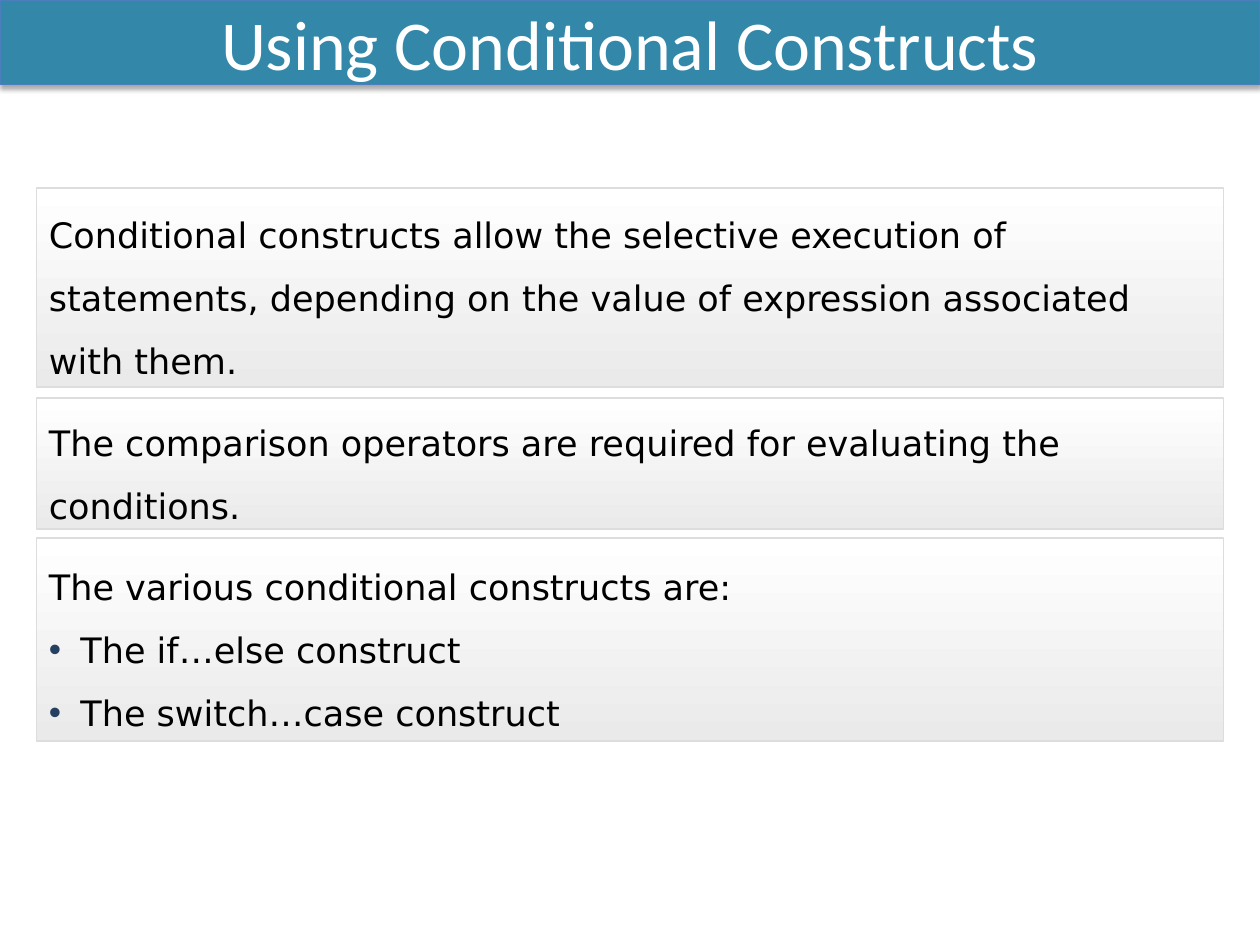
from dataclasses import dataclass

from lxml import etree
from pptx import Presentation
from pptx import util as u
from pptx.dml.color import RGBColor
from pptx.enum import shapes, text
from pptx.oxml import ns


@dataclass(frozen=True)
class Theme:
    banner: str = "3388A9"
    banner_line: str = "4B7EBC"
    title_color: str = "FFFFFF"
    panel_top: str = "FFFFFF"
    panel_bottom: str = "EAEAEA"
    panel_line: str = "DDDDDD"
    body_color: str = "000000"
    bullet_color: str = "254061"
    shadow_color: str = "000000"
    title_font: str = "Calibri"
    body_font: str = "DejaVu Sans"
    title_size: int = 40
    body_size: int = 20


@dataclass(frozen=True)
class Panel:
    top: float
    height: float
    lead: str
    bullets: tuple[str, ...] = ()


THEME = Theme()
PAGE_WIDTH, PAGE_HEIGHT = 10, 7.5
MARGIN = 0.29
BULLET_INDENT = 0.25

PANELS = (
    Panel(1.49, 1.58, "Conditional constructs allow the selective execution of "
                      "statements, depending on the value of expression associated with them."),
    Panel(3.16, 1.04, "The comparison operators are required for evaluating the conditions."),
    Panel(4.27, 1.61, "The various conditional constructs are:",
          ("The if…else construct", "The switch…case construct")),
)


def color(value: str) -> RGBColor:
    return RGBColor.from_string(value)


def add_box(page, left: float, top: float, width: float, height: float,
            line_color: str, line_width: float):
    """Add an outlined rectangle without a shadow."""
    box = page.shapes.add_shape(
        shapes.MSO_SHAPE.RECTANGLE,
        *(u.Inches(length) for length in (left, top, width, height)))
    box.shadow.inherit = False
    box.line.color.rgb = color(line_color)
    box.line.width = u.Pt(line_width)
    box.text_frame.word_wrap = True
    box.text_frame.vertical_anchor = text.MSO_ANCHOR.MIDDLE
    return box


def write(para, words: str, name: str, size: int, font_color: str) -> None:
    span = para.add_run()
    span.text = words
    for key, value in {"name": name, "size": u.Pt(size)}.items():
        setattr(span.font, key, value)
    span.font.color.rgb = color(font_color)


def add_shadow(box, blur: float, distance: float, angle: int, opacity: int) -> None:
    effects = box._element.spPr.find(ns.qn("a:effectLst"))
    shadow = etree.SubElement(
        effects, ns.qn("a:outerShdw"), blurRad=str(u.Pt(blur)),
        dist=str(u.Pt(distance)), dir=str(angle * 60000), rotWithShape="0")
    tint = etree.SubElement(shadow, ns.qn("a:srgbClr"), val=THEME.shadow_color)
    etree.SubElement(tint, ns.qn("a:alpha"), val=str(opacity * 1000))


def add_bullet(para) -> None:
    props = para._p.get_or_add_pPr()
    props.set("marL", str(u.Inches(BULLET_INDENT)))
    props.set("indent", str(-u.Inches(BULLET_INDENT)))
    tint = etree.SubElement(props, ns.qn("a:buClr"))
    etree.SubElement(tint, ns.qn("a:srgbClr"), val=THEME.bullet_color)
    etree.SubElement(props, ns.qn("a:buFont"), typeface="Arial")
    etree.SubElement(props, ns.qn("a:buChar"), char="•")


def draw_banner(page, title: str) -> None:
    box = add_box(page, 0, 0, PAGE_WIDTH, 0.67, THEME.banner_line, 0.75)
    box.fill.solid()
    box.fill.fore_color.rgb = color(THEME.banner)
    add_shadow(box, blur=3.1, distance=1.8, angle=90, opacity=35)
    para = box.text_frame.paragraphs[0]
    para.alignment = text.PP_ALIGN.CENTER
    write(para, title, THEME.title_font, THEME.title_size, THEME.title_color)


def draw_panel(page, panel: Panel) -> None:
    box = add_box(page, MARGIN, panel.top, PAGE_WIDTH - 2 * MARGIN, panel.height,
                  THEME.panel_line, 1)
    # Vertical gradient, light at the top
    box.fill.gradient()
    box.fill.gradient_angle = 270
    for stop, tint in zip(box.fill.gradient_stops, (THEME.panel_top, THEME.panel_bottom)):
        stop.color.rgb = color(tint)
    # Lead sentence, then any bullets
    frame = box.text_frame
    for index, words in enumerate((panel.lead, *panel.bullets)):
        para = frame.add_paragraph() if index else frame.paragraphs[0]
        for key, value in {"alignment": text.PP_ALIGN.LEFT, "line_spacing": 1.5}.items():
            setattr(para, key, value)
        if index:
            add_bullet(para)
        write(para, words, THEME.body_font, THEME.body_size, THEME.body_color)


def main() -> None:
    deck = Presentation()
    deck.slide_width = u.Inches(PAGE_WIDTH)
    deck.slide_height = u.Inches(PAGE_HEIGHT)
    page = deck.slides.add_slide(deck.slide_layouts[6])
    draw_banner(page, "Using Conditional Constructs")
    for panel in PANELS:
        draw_panel(page, panel)
    deck.save("out.pptx")


if __name__ == "__main__":
    main()
